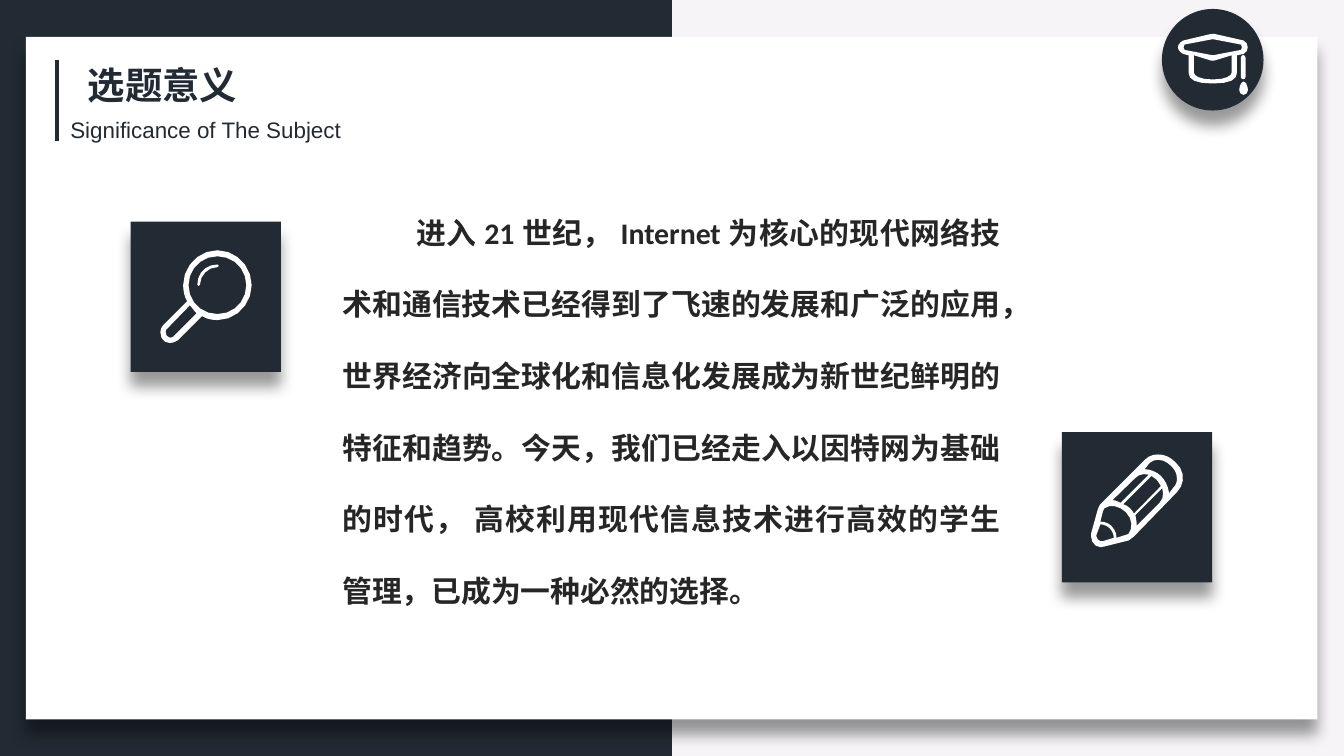
from dataclasses import dataclass
from math import dist, sqrt

from lxml import etree
from pptx import Presentation
from pptx.dml.color import RGBColor
from pptx.enum.shapes import MSO_CONNECTOR, MSO_SHAPE
from pptx.enum.text import MSO_ANCHOR, MSO_AUTO_SIZE, PP_ALIGN
from pptx.oxml.ns import qn
from pptx.util import Cm, Pt

RECTANGLE = MSO_SHAPE.RECTANGLE
OVAL = MSO_SHAPE.OVAL
STRAIGHT = MSO_CONNECTOR.STRAIGHT
TOP = MSO_ANCHOR.TOP
FIT_SHAPE = MSO_AUTO_SIZE.SHAPE_TO_FIT_TEXT
JUSTIFY = PP_ALIGN.JUSTIFY
LEFT = PP_ALIGN.LEFT


@dataclass(frozen=True)
class Theme:
    """Colours, fonts and type sizes of the slide."""
    dark: RGBColor = RGBColor(0x22, 0x2B, 0x34)
    light: RGBColor = RGBColor(0xF6, 0xF4, 0xF7)
    white: RGBColor = RGBColor(0xFF, 0xFF, 0xFF)
    body: RGBColor = RGBColor(0x26, 0x26, 0x26)
    title_font: str = "Noto Sans CJK SC"
    subtitle_font: str = "Arial"
    body_font: str = "Calibri"
    title_size: Pt = Pt(20)
    subtitle_size: Pt = Pt(12)
    body_size: Pt = Pt(16)


THEME = Theme()
ICON_UNIT = Cm(2.54) / 100
MOST_CURVE_STEPS = 5
TILE_SIZE = 2.84

BODY_TEXT = (
    "进入 21 世纪， Internet 为核心的现代网络技术和通信技术已经得到了飞速的发展和广泛的应用，"
    "世界经济向全球化和信息化发展成为新世纪鲜明的特征和趋势。今天，我们已经走入以因特网为基础的时代， "
    "高校利用现代信息技术进行高效的学生管理，已成为一种必然的选择。"
)

CAP = (
    "M 26 16 L 5 12 C 4 11 4 9 5 8 L 26 4 L 47 8 C 48 9 48 11 47 12 "
    "M 40 29 C 40 31 36 34 26 34 C 16 34 12 31 12 29 L 12 16 L 25 20 L 27 20 L 40 16 "
    "M 52 10 C 52 8 51 6 49 5 L 27 0 L 25 0 L 4 5 C 2 6 0 8 0 10 C 0 12 2 14 4 15 "
    "L 8 16 L 8 29 C 8 34 13 37 26 37 C 39 37 44 34 44 29 L 44 16 L 49 15 C 51 14 52 12 52 10"
)
TASSEL_CORD = ("M 0 2 L 0 16.5 C 0 17.5 1 18 1.8 18 C 2.6 18 3.5 17.5 3.5 16.5 "
               "L 3.5 2 C 3.5 1 2.6 0 1.8 0 C 1 0 0 1 0 2")
TASSEL_DROP = ("M 3.3 0 C 1 0 0 5 0 6.5 C 0 8.5 1.5 10 3.3 10 "
               "C 5 10 6.5 8.5 6.5 6.5 C 6.5 5 5.5 0 3.3 0")
PENCIL = (
    "M 61 25 L 58 29 L 58 28 C 57 23 55 19 52 16 C 49 13 44 11 40 11 L 43 7 C 45 5 47 4 50 4 "
    "C 54 4 57 6 60 9 C 62 11 64 14 64 18 C 64 21 63 23 61 25 "
    "M 19 62 C 19 59 18 56 15 53 C 13 51 10 50 7 50 L 9 42 L 10 40 "
    "C 14 37 21 38 26 43 C 31 48 31 55 28 59 L 27 59.5 "
    "M 9 64.5 L 7 64.5 C 6 64 4 63 4 61 L 4 60 L 7 52 C 9 52 12 53 14 55 C 16 57 17 60 17 62 "
    "M 22 36 C 20 35 18 34 16 34 L 33 17.5 C 35 15 39 14 43 15 "
    "M 32 44 C 31 42 30 41 29 40 C 27 39 26 37 24 37 L 45 16 C 46 17 48 18 49 19 C 50 20 51 22 52 23.5 "
    "M 34 51 C 34 49 33 47 33 45 L 53 25 C 54 29 54 33 51 36 L 34 53 "
    "M 63 6 C 59 2 55 0 50 0 C 46 0 43 1 40 4 L 7 37 C 6 38 6 39 5 41 L 0 59 L 0 61 C 0 65 3 69 7 69 "
    "L 10 68.5 L 28 64 C 29 63 31 62 32 61 L 64 28 C 70 22 70 12 63 6"
)
MAGNIFIER = (
    "M 42.5 47.5 C 30.5 47.5 21 38 21 26 C 21 14 30.5 4.5 42.5 4.5 "
    "C 54.5 4.5 64 14 64 26 C 64 38 54.5 47.5 42.5 47.5 "
    "M 10 64 C 9 65 8.5 65 7 65 C 5 65 4 63 4 61 C 4 60 4 59 5 58.5 L 22 41 C 24 43 25 45 27 47 "
    "M 42.5 0 C 28.5 0 17 12 17 26 C 17 30 18 35 20 38 L 2 56 C 1 57 0 59 0 61 C 0 66 3 69 7 69 "
    "C 10 69 11 68 13 67 L 31 49 C 34 51 38 52 42.5 52 C 56.5 52 68 40 68 26 C 68 12 56.5 0 42.5 0"
)
LENS_GLINT = ("M 15 0 C 6 0 0 7 0 15 L 1 16 L 2 15 "
              "C 2 8 8 2 15 2 L 16 1")


def set_values(target, values):
    """Set each named attribute on the target."""
    for name, value in values.items():
        setattr(target, name, value)


def paint(shape, color):
    """Give a shape a solid fill with no outline or shadow."""
    shape.fill.solid()
    shape.fill.fore_color.rgb = color
    shape.line.fill.background()
    shape.shadow.inherit = False


def add_shadow(shape):
    """Add a soft black shadow falling straight down."""
    effects = shape.element.spPr.find(qn("a:effectLst"))
    shadow = etree.SubElement(effects, qn("a:outerShdw"), blurRad=str(Pt(8)), dist=str(Pt(8)),
                              dir="5400000", algn="t", rotWithShape="0")
    color = etree.SubElement(shadow, qn("a:srgbClr"), val="000000")
    etree.SubElement(color, qn("a:alpha"), val="40000")


def add_block(slide, kind, box, color, shadow=True):
    """Add a filled preset shape; box is left, top, width, height in cm."""
    shape = slide.shapes.add_shape(kind, *map(Cm, box))
    paint(shape, color)
    if shadow:
        add_shadow(shape)


def add_rule(slide, start, end):
    """Add the straight line beside the heading."""
    connector = slide.shapes.add_connector(STRAIGHT, *map(Cm, start + end))
    connector.line.color.rgb = THEME.dark
    connector.line.width = Pt(2.25)
    etree.SubElement(connector.element.spPr, qn("a:effectLst"))


def contour_points(commands):
    """Turn one contour into points, with more of them on longer curves."""
    tokens = iter(commands.split())
    points = [(float(next(tokens)), float(next(tokens)))]
    for command in tokens:
        count = 3 if command == "C" else 1
        controls = [(float(next(tokens)), float(next(tokens))) for _ in range(count)]
        if command == "L":
            points += controls
            continue
        curve = [points[-1]] + controls
        steps = max(1, min(MOST_CURVE_STEPS, round(sqrt(dist(curve[0], curve[3])))))
        for step in range(1, steps + 1):
            t = step / steps
            weights = ((1 - t) ** 3, 3 * t * (1 - t) ** 2, 3 * t * t * (1 - t), t ** 3)
            points.append(tuple(sum(w * p[axis] for w, p in zip(weights, curve)) for axis in (0, 1)))
    return points


def add_icon(slide, left, top, outline):
    """Add a white outline with its top left corner at the given cm."""
    builder = None
    for commands in outline.split("M")[1:]:
        points = [(Cm(left) + x * ICON_UNIT, Cm(top) + y * ICON_UNIT)
                  for x, y in contour_points(commands)]
        if builder is None:
            builder = slide.shapes.build_freeform(*points[0], scale=1.0)
        else:
            builder.move_to(*points[0])
        builder.add_line_segments(points[1:], close=True)
    paint(builder.convert_to_shape(), THEME.white)


def add_text(slide, box, text, font, paragraph_format, wrap=True, indent=0):
    """Add a one-paragraph text box with an optional first-line indent."""
    shape = slide.shapes.add_textbox(*map(Cm, box))
    frame = shape.text_frame
    set_values(frame, {"word_wrap": wrap, "auto_size": FIT_SHAPE, "vertical_anchor": TOP})
    paragraph = frame.paragraphs[0]
    set_values(paragraph, paragraph_format)
    if indent:
        paragraph._p.get_or_add_pPr().set("indent", str(Cm(indent)))
    run = paragraph.add_run()
    run.text = text
    color = font.pop("color")
    set_values(run.font, font)
    run.font.color.rgb = color
    etree.SubElement(run._r.get_or_add_rPr(), qn("a:ea"), typeface=font["name"])


def main():
    """Build the slide and save it."""
    presentation = Presentation()
    set_values(presentation, {"slide_width": Cm(25.4), "slide_height": Cm(14.29)})
    slide = presentation.slides.add_slide(presentation.slide_layouts[6])
    slide.background.fill.solid()
    slide.background.fill.fore_color.rgb = THEME.light

    add_block(slide, RECTANGLE, (0, 0, 12.7, 14.29), THEME.dark, shadow=False)
    add_block(slide, RECTANGLE, (0.49, 0.7, 24.41, 12.9), THEME.white)
    add_rule(slide, (1.08, 1.14), (1.08, 2.67))
    add_block(slide, OVAL, (21.96, 0.17, 1.92, 1.92), THEME.dark)
    for left, top in ((2.47, 4.19), (20.07, 8.17)):
        add_block(slide, RECTANGLE, (left, top, TILE_SIZE, TILE_SIZE), THEME.dark)

    for left, top, outline in (
        (22.26, 0.64, CAP), (23.45, 1.04, TASSEL_CORD), (23.42, 1.54, TASSEL_DROP),
        (20.62, 8.59, PENCIL), (3.03, 4.73, MAGNIFIER), (3.73, 5, LENS_GLINT),
    ):
        add_icon(slide, left, top, outline)

    add_text(slide, (1.08, 1.05, 5.13, 1.12), "选题意义",
             {"name": THEME.title_font, "size": THEME.title_size, "bold": True, "color": THEME.dark},
             {"alignment": JUSTIFY}, indent=0.33)
    add_text(slide, (1.08, 2.08, 5.75, 0.76), "Significance of The Subject",
             {"name": THEME.subtitle_font, "size": THEME.subtitle_size, "color": THEME.dark},
             {"alignment": LEFT}, wrap=False)
    add_text(slide, (6.22, 3.25, 12.95, 8.46), BODY_TEXT,
             {"name": THEME.body_font, "size": THEME.body_size, "bold": True, "color": THEME.body},
             {"alignment": JUSTIFY, "line_spacing": 2.0, "space_before": Pt(6)}, indent=1.4)
    presentation.save("out.pptx")


main()
